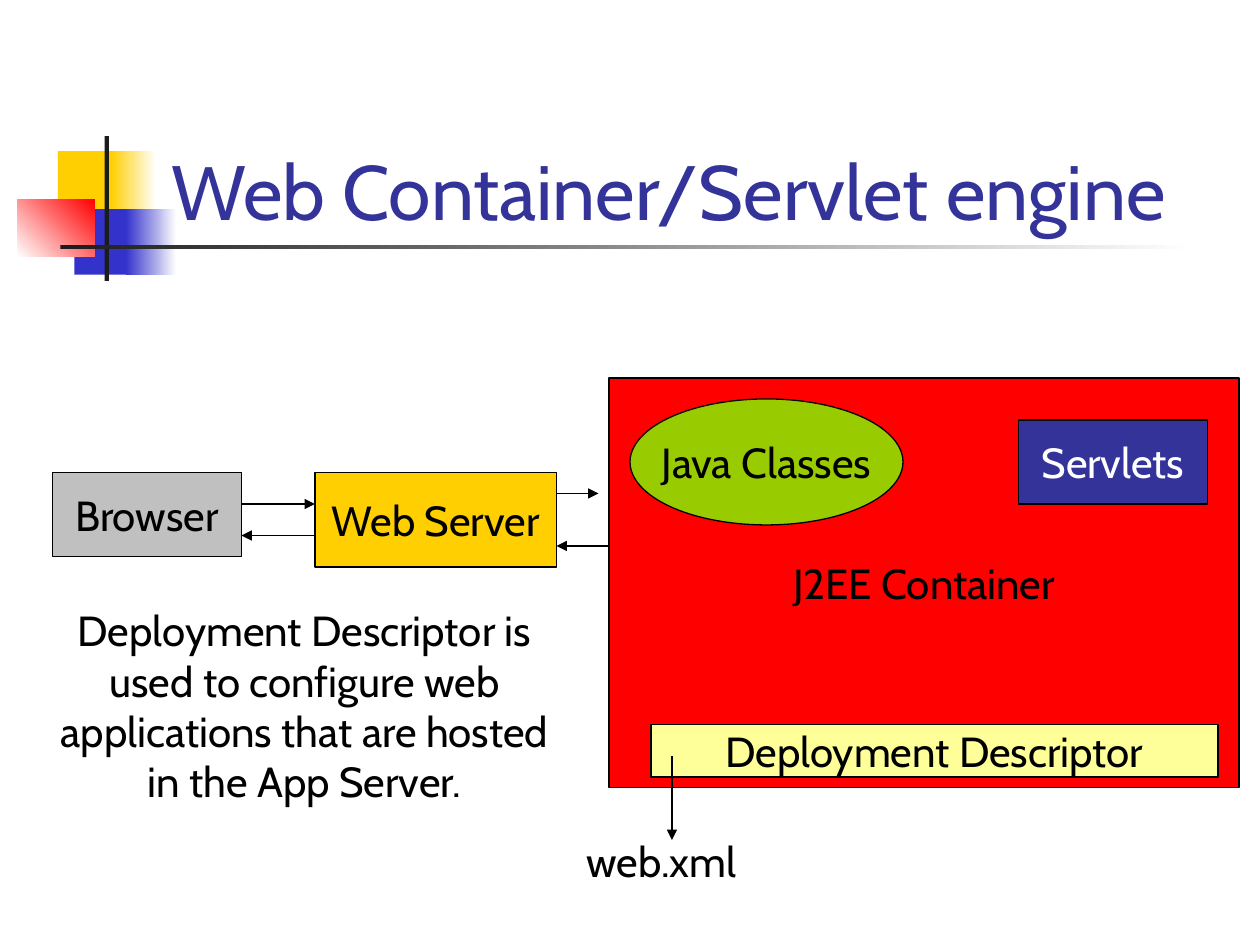
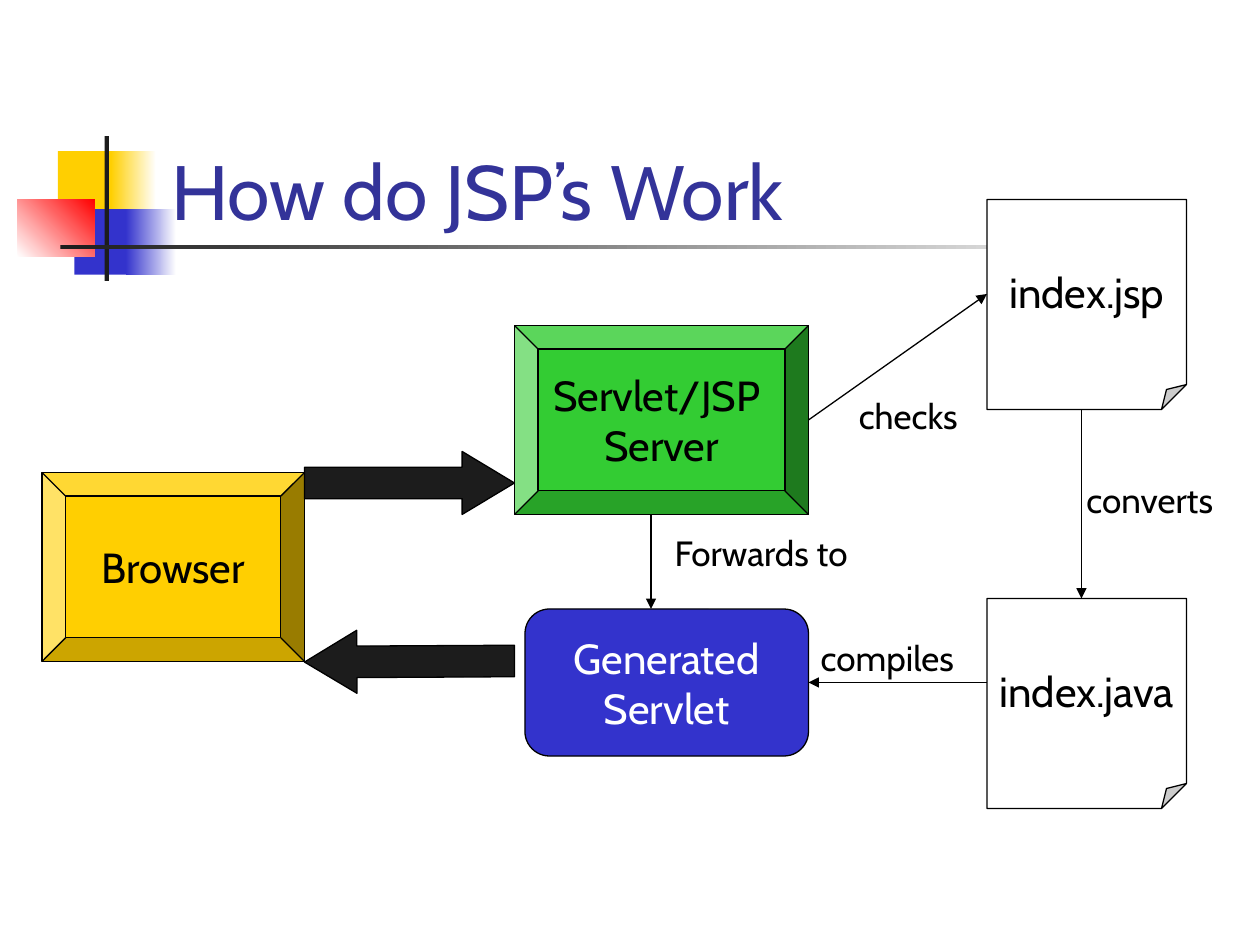
"""Build two slides on how servlet containers and JSP pages work."""
import dataclasses

import lxml.etree
import pptx
import pptx.dml.color
import pptx.enum.shapes
import pptx.enum.text
import pptx.oxml.ns
import pptx.util


@dataclasses.dataclass(frozen=True)
class Theme:
    font: str = "Cabin"
    title_size: float = 44
    box_size: float = 24
    label_size: float = 20
    line_width: float = 0.74
    black: str = "000000"
    white: str = "FFFFFF"
    ink: str = "1C1C1C"
    navy: str = "333399"
    blue: str = "3333CC"
    gold: str = "FFCF01"
    red: str = "FF0000"
    gray: str = "C0C0C0"
    cream: str = "FFFF99"
    lime: str = "99CC00"
    green: str = "33CC33"


theme = Theme()
Pt = pptx.util.Pt
Color = pptx.dml.color.RGBColor.from_string
Shape = pptx.enum.shapes.MSO_SHAPE
Align = pptx.enum.text.PP_ALIGN
Anchor = pptx.enum.text.MSO_ANCHOR
qualify = pptx.oxml.ns.qn


def write_text(frame, lines, size, color, alignment=Align.CENTER):
    for index, line in enumerate(lines):
        paragraph = frame.add_paragraph() if index else frame.paragraphs[0]
        paragraph.alignment = alignment
        run = paragraph.add_run()
        run.text = line
        run.font.name = theme.font
        run.font.size = Pt(size)
        run.font.color.rgb = Color(color)


def add_filled(slide, kind, bounds, fill, outlined=True):
    shape = slide.shapes.add_shape(kind, *map(Pt, bounds))
    shape.shadow.inherit = False
    shape.fill.solid()
    shape.fill.fore_color.rgb = Color(fill)
    if outlined:
        shape.line.color.rgb = Color(theme.black)
        shape.line.width = Pt(theme.line_width)
    else:
        shape.line.fill.background()
    return shape


presentation = pptx.Presentation()
presentation.slide_width = Pt(720)
presentation.slide_height = Pt(540)
layout = presentation.slide_layouts.get_by_name("Title Only")
layout_title = layout.placeholders[0]
layout_title.left, layout_title.top = Pt(90.72), Pt(48.24)
layout_title.width, layout_title.height = Pt(613.44), Pt(90)

diagrams = [
    {
        "title": "Web Container/Servlet engine",
        "boxes": [
            (Shape.RECTANGLE, (348, 216, 360, 234), theme.red, theme.black, ["J2EE Container"]),
            (Shape.RECTANGLE, (30, 270, 108, 48), theme.gray, theme.black, ["Browser"]),
            (Shape.RECTANGLE, (582, 240, 108, 48), theme.navy, theme.white, ["Servlets"]),
            (Shape.RECTANGLE, (180, 270, 138, 54), theme.gold, theme.black, ["Web Server"]),
            (Shape.RECTANGLE, (372, 414, 324, 30), theme.cream, theme.black, ["Deployment Descriptor"]),
            (Shape.OVAL, (360, 228, 156, 72), theme.lime, theme.black, ["Java Classes"]),
        ],
        "block_arrows": [],
        "connectors": [
            (138, 288, 180, 288),
            (180, 306, 138, 306),
            (318, 282, 342, 282),
            (348, 312, 318, 312),
            (384, 432, 384, 480),
        ],
        "label_size": theme.box_size,
        "labels": [
            ((312, 474, 132, 36), "web.xml"),
            ((18, 342, 312, 122.4),
             "Deployment Descriptor is used to configure web applications "
             "that are hosted in the App Server."),
        ],
    },
    {
        "title": "How do JSP’s Work",
        "boxes": [
            (Shape.BEVEL, (24, 270, 150, 108), theme.gold, theme.black, ["Browser"]),
            (Shape.BEVEL, (294, 186, 168, 108), theme.green, theme.black, ["Servlet/JSP ", "Server"]),
            (Shape.ROUNDED_RECTANGLE, (300, 348, 162, 84), theme.blue, theme.white, ["Generated", "Servlet"]),
            (Shape.FOLDED_CORNER, (564, 114, 114, 120), theme.white, theme.black, ["index.jsp"]),
            (Shape.FOLDED_CORNER, (564, 342, 114, 120), theme.white, theme.black, ["index.java"]),
        ],
        "block_arrows": [((174, 258, 120, 36), 0), ((174, 360, 120, 36), 179.7)],
        "connectors": [
            (462, 240, 564, 168),
            (618, 234, 618, 342),
            (564, 390, 462, 390),
            (372, 294, 372, 348),
        ],
        "label_size": theme.label_size,
        "labels": [
            ((444, 360, 126, 31.5), "compiles"),
            ((456, 222, 126, 31.5), "checks"),
            ((594, 270, 126, 31.5), "converts"),
            ((372, 300, 126, 55.5), "Forwards to"),
        ],
    },
]

for diagram in diagrams:
    slide = presentation.slides.add_slide(layout)
    title_frame = slide.shapes.title.text_frame
    title_frame.vertical_anchor = Anchor.BOTTOM
    write_text(title_frame, [diagram["title"]], theme.title_size, theme.navy, Align.LEFT)

    for kind, bounds, fill, color, lines in diagram["boxes"]:
        box = add_filled(slide, kind, bounds, fill)
        if kind == Shape.FOLDED_CORNER:
            geometry = box.element.spPr.find(qualify("a:prstGeom"))
            guides = geometry.find(qualify("a:avLst"))
            lxml.etree.SubElement(guides, qualify("a:gd"), name="adj", fmla="val 12500")
        box.text_frame.word_wrap = False
        box.text_frame.vertical_anchor = Anchor.MIDDLE
        write_text(box.text_frame, lines, theme.box_size, color)

    for bounds, rotation in diagram["block_arrows"]:
        block_arrow = add_filled(slide, Shape.RIGHT_ARROW, bounds, theme.ink)
        block_arrow.adjustments[1] = 0.83
        block_arrow.rotation = rotation

    for ends in diagram["connectors"]:
        connector = slide.shapes.add_connector(
            pptx.enum.shapes.MSO_CONNECTOR.STRAIGHT, *map(Pt, ends))
        connector.line.color.rgb = Color(theme.black)
        connector.line.width = Pt(theme.line_width)
        properties = connector.element.spPr
        outline = properties.find(qualify("a:ln"))
        lxml.etree.SubElement(outline, qualify("a:tailEnd"), type="triangle")
        lxml.etree.SubElement(properties, qualify("a:effectLst"))

    for bounds, text in diagram["labels"]:
        label = slide.shapes.add_textbox(*map(Pt, bounds))
        label.text_frame.word_wrap = True
        write_text(label.text_frame, [text], diagram["label_size"], theme.black)

band = [
    ((33.12, 86.4, 34.56, 37.44), theme.gold, None, 0),
    ((63.36, 86.4, 25.92, 37.44), theme.gold, theme.white, 0),
    ((42.48, 119.52, 33.12, 37.44), theme.blue, None, 0),
    ((72, 119.52, 28.8, 37.44), theme.blue, theme.white, 0),
    ((10.08, 113.76, 43.92, 33.12), theme.white, theme.red, 45),
    ((59.76, 77.76, 2.5, 82.8), theme.ink, None, 0),
    ((34.56, 140.1, 648, 2.5), theme.ink, theme.white, 0),
]
for bounds, start, end, angle in band:
    piece = add_filled(slide, Shape.RECTANGLE, bounds, start, outlined=False)
    if end:
        piece.fill.gradient()
        piece.fill.gradient_angle = angle
        for stop, color in zip(piece.fill.gradient_stops, (start, end)):
            stop.color.rgb = Color(color)
    layout.shapes.element.append(piece.element)

presentation.save("out.pptx")
